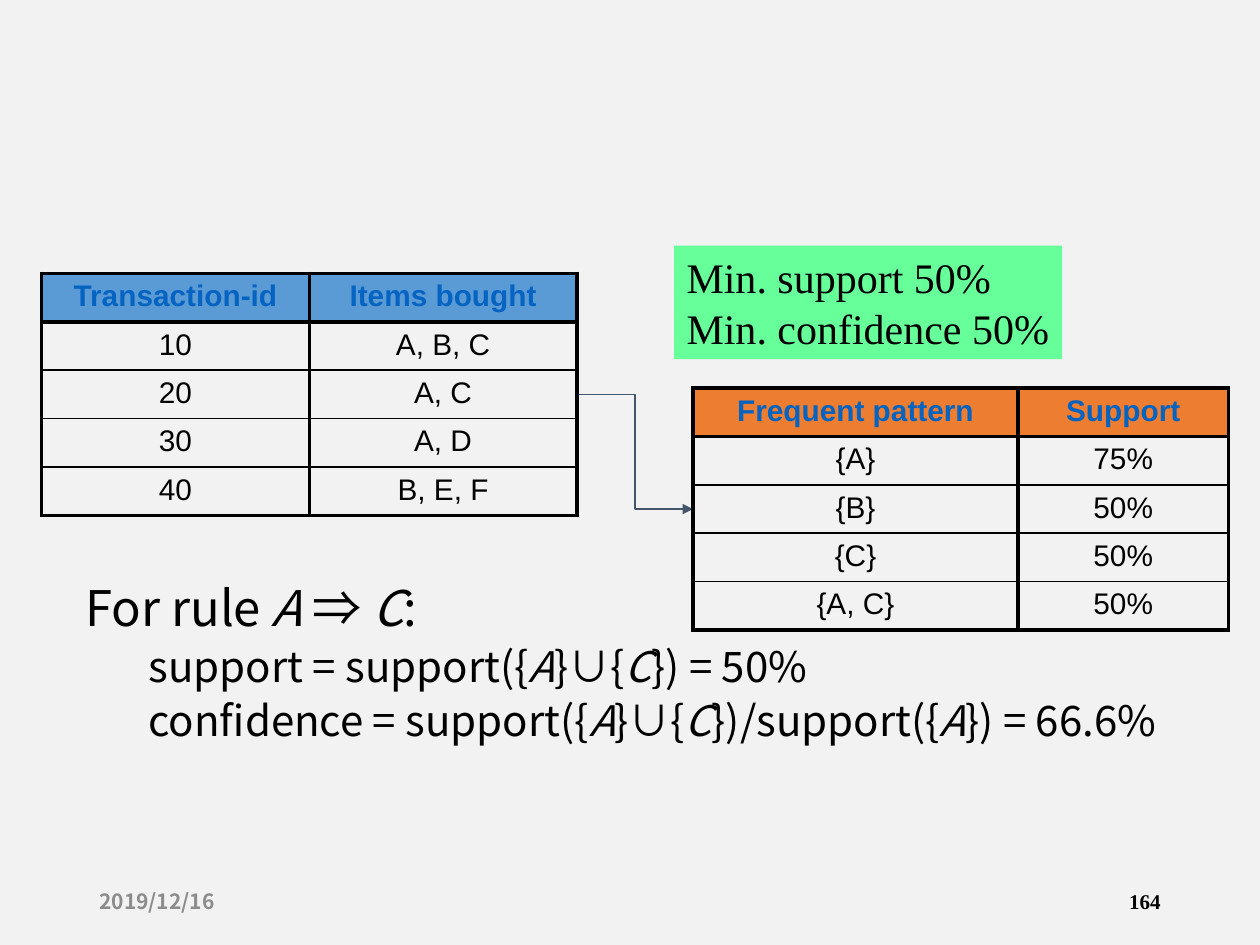
"""Build the association rule slide with its transaction and support tables."""
from lxml.etree import SubElement
from pptx import Presentation
from pptx.dml.color import RGBColor
from pptx.enum.shapes import MSO_CONNECTOR, MSO_SHAPE
from pptx.enum.text import MSO_ANCHOR, PP_ALIGN
from pptx.oxml import parse_xml
from pptx.oxml.ns import nsdecls, qn
from pptx.util import Inches, Pt

BACKGROUND = RGBColor(0xF2, 0xF2, 0xF2)
BLACK = RGBColor(0, 0, 0)
GRAY = RGBColor(0x8C, 0x8C, 0x8C)
GREEN = RGBColor(0x66, 0xFF, 0x99)
BLUE = RGBColor(0x5B, 0x9B, 0xD5)
ORANGE = RGBColor(0xED, 0x7D, 0x31)
HEADER_TEXT = RGBColor(0x05, 0x63, 0xC1)
SLATE = RGBColor(0x44, 0x54, 0x6A)
SANS, SERIF, TABLE_FONT = "Noto Sans CJK SC", "Times New Roman", "Arial"
THICK, THIN = 2.25, 1
TABLE_HEIGHT = 1.92

TRANSACTIONS = [
    ("Transaction-id", "Items bought"),
    ("10", "A, B, C"),
    ("20", "A, C"),
    ("30", "A, D"),
    ("40", "B, E, F"),
]
PATTERNS = [
    ("Frequent pattern", "Support"),
    ("{A}", "75%"),
    ("{B}", "50%"),
    ("{C}", "50%"),
    ("{A, C}", "50%"),
]
TABLES = [
    (0.33, 2.17, (2.125, 2.125), BLUE, TRANSACTIONS),
    (5.5, 3.08, (2.58, 1.67), ORANGE, PATTERNS),
]
THRESHOLDS = ["Min. support 50%", "Min. confidence 50%"]
RULE_LINES = [
    (0, 28, 0, ["For rule ", "A ", "⇒ ", "C", ":"]),
    (1, 24, 5, ["support = support({", "A", "}∪{", "C", "}) = 50%"]),
    (1, 24, 5, ["confidence = support({", "A", "}∪{", "C", "})/support({", "A", "}) = 66.6%"]),
]
FOOTERS = [
    (0.69, "2019/12/16", SANS, GRAY, PP_ALIGN.LEFT),
    (7.06, "164", SERIF, BLACK, PP_ALIGN.RIGHT),
]


def style(span, size, name, color, bold=False, italic=False):
    font = span.font
    font.size, font.bold, font.italic = Pt(size), bold, italic
    font.color.rgb = color
    font.name = name
    SubElement(font._element, qn("a:ea"), typeface=name)


def add_rule(page):
    box = page.shapes.add_textbox(Inches(0.58), Inches(4.59), Inches(9.17), Inches(2.32))
    frame = box.text_frame
    frame.word_wrap = True
    for number, (level, size, before, pieces) in enumerate(RULE_LINES):
        para = frame.add_paragraph() if number else frame.paragraphs[0]
        para.level = level
        para.line_spacing = 0.9
        para.space_before = Pt(before)
        properties = para._p.get_or_add_pPr()
        properties.set("marL", str(Inches(0.25 + 0.5 * level)))
        properties.set("indent", str(-Inches(0.25)))
        for position, piece in enumerate(pieces):
            span = para.add_run()
            span.text = piece
            style(span, size, SANS, BLACK, italic=position % 2 == 1)


def add_thresholds(page):
    box = page.shapes.add_shape(
        MSO_SHAPE.RECTANGLE, Inches(5.35), Inches(1.95), Inches(3.08), Inches(0.9))
    box.shadow.inherit = False
    box.fill.solid()
    box.fill.fore_color.rgb = GREEN
    box.line.fill.background()
    frame = box.text_frame
    frame.word_wrap = False
    frame.vertical_anchor = MSO_ANCHOR.MIDDLE
    frame.text = "\n".join(THRESHOLDS)
    for para in frame.paragraphs:
        para.alignment = PP_ALIGN.LEFT
        style(para.runs[0], 24, SERIF, BLACK)


def add_arrow(page):
    (left, top, widths, _, _), (end_left, end_top, _, _, _) = TABLES
    middle = TABLE_HEIGHT / 2
    arrow = page.shapes.add_connector(
        MSO_CONNECTOR.ELBOW, Inches(left + sum(widths)), Inches(top + middle),
        Inches(end_left), Inches(end_top + middle))
    arrow.line.color.rgb = SLATE
    arrow.line.width = Pt(0.75)
    SubElement(arrow.line._get_or_add_ln(), qn("a:tailEnd"), type="triangle")
    SubElement(arrow._element.spPr, qn("a:effectLst"))


def set_borders(cell, top, bottom):
    properties = cell._tc.get_or_add_tcPr()
    sides = [("L", THICK), ("R", THICK), ("T", top), ("B", bottom)]
    for position, (side, width) in enumerate(sides):
        border = parse_xml(
            f'<a:ln{side} {nsdecls("a")} w="{Pt(width)}"><a:solidFill>'
            f'<a:srgbClr val="{BLACK}"/></a:solidFill></a:ln{side}>')
        properties.insert(position, border)


def add_grid(page, left, top, widths, header_fill, rows):
    table = page.shapes.add_table(
        len(rows), len(widths), Inches(left), Inches(top),
        Inches(sum(widths)), Inches(TABLE_HEIGHT)).table
    for column, width in zip(table.columns, widths):
        column.width = Inches(width)
    for number, values in enumerate(rows):
        header = number == 0
        last = number == len(rows) - 1
        for column, value in enumerate(values):
            cell = table.cell(number, column)
            if header:
                cell.fill.solid()
                cell.fill.fore_color.rgb = header_fill
            else:
                cell.fill.background()
            set_borders(cell, THICK if number < 2 else THIN, THICK if header or last else THIN)
            cell.text_frame.text = value
            para = cell.text_frame.paragraphs[0]
            para.alignment = PP_ALIGN.CENTER
            style(para.runs[0], 17, TABLE_FONT, HEADER_TEXT if header else BLACK, bold=header)


def add_footer(page, left, text, name, color, alignment):
    box = page.shapes.add_textbox(Inches(left), Inches(6.95), Inches(2.25), Inches(0.4))
    frame = box.text_frame
    frame.word_wrap = True
    frame.vertical_anchor = MSO_ANCHOR.MIDDLE
    frame.text = text
    para = frame.paragraphs[0]
    para.alignment = alignment
    style(para.runs[0], 12, name, color, bold=True)


def main():
    deck = Presentation()
    deck.slide_width, deck.slide_height = Inches(10), Inches(7.5)
    page = deck.slides.add_slide(deck.slide_layouts[6])
    page.background.fill.solid()
    page.background.fill.fore_color.rgb = BACKGROUND
    add_rule(page)
    add_thresholds(page)
    add_arrow(page)
    for grid in TABLES:
        add_grid(page, *grid)
    for footer in FOOTERS:
        add_footer(page, *footer)
    deck.save("out.pptx")


if __name__ == "__main__":
    main()
